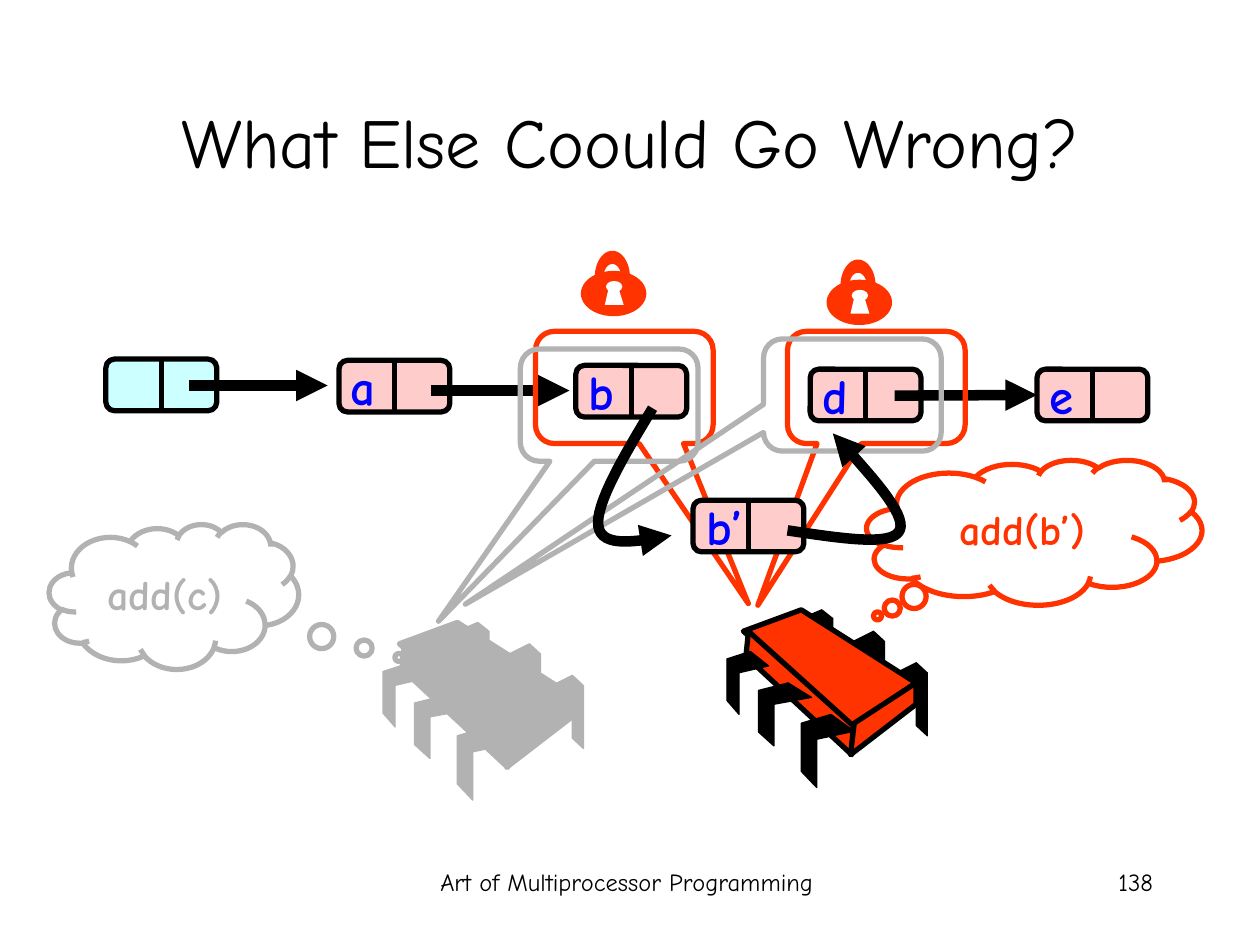
import math
import pptx
import pptx.dml.color
import pptx.enum.shapes
import pptx.enum.text
import pptx.oxml
import pptx.util

BLACK, WHITE, RED, GRAY, BLUE = "000000", "FFFFFF", "FF3300", "B2B2B2", "0000FF"
CYAN, PINK = "CCFFFF", "FFCCCC"
kinds = pptx.enum.shapes.MSO_SHAPE
straight = pptx.enum.shapes.MSO_CONNECTOR.STRAIGHT
align = pptx.enum.text.PP_ALIGN
anchor = pptx.enum.text.MSO_ANCHOR
rgb = pptx.dml.color.RGBColor.from_string

deck = pptx.Presentation()
deck.slide_width, deck.slide_height = pptx.util.Inches(10), pptx.util.Inches(7.5)
slide = deck.slides.add_slide(deck.slide_layouts[6])
shapes = slide.shapes
cell = deck.slide_width // 100


def dress(shape, fill=None, line=None, weight=3):
    if hasattr(shape, "fill"):
        shape.shadow.inherit = False
        if fill:
            shape.fill.solid()
            shape.fill.fore_color.rgb = rgb(fill)
        else:
            shape.fill.background()
    else:
        shape._element.spPr.append(pptx.oxml.parse_xml(
            '<a:effectLst xmlns:a="http://schemas.openxmlformats.org/drawingml/2006/main"/>'))
    if line:
        shape.line.color.rgb = rgb(line)
        shape.line.width = pptx.util.Pt(weight)
    else:
        shape.line.fill.background()
    return shape


def outline(points, close=True):
    spots = [(round(x * cell), round(y * cell)) for x, y in points]
    builder = shapes.build_freeform(*spots[0])
    builder.add_line_segments(spots[1:], close=close)
    return builder.convert_to_shape()


writings = []
headings = [
    ("Art of Multiprocessor Programming", (31, 68.3, 37.5, 5), 14, align.CENTER, anchor.TOP),
    ("138", (71.7, 68.3, 20.8, 5), 14, align.RIGHT, anchor.TOP),
    ("What Else Coould Go Wrong?", (7.5, 4.9, 85, 12.5), 40, align.CENTER, anchor.MIDDLE),
]
for words, box, size, side, level in headings:
    heading = shapes.add_textbox(*(int(v * cell) for v in box))
    writings.append((heading, words, size, BLACK, False, side, level, True))

nodes = {}
for label, x, y, fill, label_width in [
    ("", 8.4, 28.5, CYAN, 0),
    ("a", 26.9, 28.6, PINK, 4.2),
    ("b", 45.7, 29, PINK, 4.3),
    ("d", 64.3, 29.3, PINK, 4.3),
    ("e", 82.3, 29.3, PINK, 4.2),
    ("b’", 55, 39.7, PINK, 5.2),
]:
    box = [int(v * cell) for v in (x, y, 8.8, 4.1)]
    body = dress(shapes.add_shape(kinds.ROUNDED_RECTANGLE, *box), fill, BLACK)
    divider = shapes.add_connector(straight, *box)
    divider.begin_connect(body, 0)
    divider.end_connect(body, 2)
    nodes[label] = [body, dress(divider, line=BLACK)]
    if label:
        box = [int(v * cell) for v in (x - 0.3, y - 0.8, label_width, 5.7)]
        tag = shapes.add_textbox(*box)
        writings.append((tag, label, 28, BLUE, True, align.RIGHT, anchor.TOP, False))
        nodes[label].append(tag)

arrows = []
for x, y in [(15, 30.6), (34.2, 31), (71, 31.4)]:
    ends = [int(v * cell) for v in (x, y, x + 11, y)]
    arrows.append(dress(shapes.add_connector(straight, *ends), line=BLACK, weight=6))
arrows[-1].end_connect(nodes["e"][0], 1)

back_leg = [(0, .14), (.65, 0), (1, .14), (1, 1), (.65, .86), (.65, .28), (0, .43)]
front_leg = [(.56, 0), (1, .23), (.29, .34), (.29, 1), (0, .78), (0, .12)]
panels = [
    [(5.9, 0), (15, 5.8), (9.9, 9.3), (1.3, 1.7)],
    [(1.7, 1.7), (10, 9.2), (9.9, 11.5), (1.5, 3.7)],
    [(15, 5.8), (15, 7.5), (9.8, 11.5), (10.1, 9)],
]
back_legs = [(13.4, 4.2, 2.5, 5.8), (10, 1.7, 2.5, 5.8), (5.9, 0, 2.5, 5)]
front_legs = [(5.9, 8.3, 4.2, 5.8), (2.5, 5.8, 4.2, 5), (0, 3.3, 3.3, 5)]
back_parts, front_parts = [
    [[(x + u * w, y + v * h) for u, v in leg] for x, y, w, h in legs]
    for leg, legs in [(back_leg, back_legs), (front_leg, front_legs)]
]
for words, left, top, body_fill, leg_fill, edge, cloud_box, tail in [
    ("add(c)", 30.4, 49.4, GRAY, GRAY, GRAY, (3.9, 41.6, 19.8, 11.5), (.902, .42)),
    ("add(b’)", 57.7, 48.4, RED, BLACK, BLACK, (68.8, 36.5, 26.6, 11.5), (-.468, .577)),
]:
    chip = []
    for parts, fill, weight in [(back_parts, leg_fill, .75), (panels, body_fill, 3),
                                (front_parts, leg_fill, .75)]:
        for part in parts:
            piece = outline([(left + x, top + y) for x, y in part])
            chip.append(dress(piece, fill, edge, weight))
    shapes.add_group_shape(chip)
    cloud = shapes.add_shape(kinds.CLOUD_CALLOUT, *(int(v * cell) for v in cloud_box))
    dress(cloud, line=body_fill)
    cloud.adjustments[0], cloud.adjustments[1] = tail
    writings.append((cloud, words, 24, body_fill, True, align.CENTER, anchor.MIDDLE, True))

angles = [math.pi * step / 24 for step in range(25)]
for left, top in [(65.6, 20.6), (46.1, 19.9)]:
    lock = []
    for x, y, w, h, fill in [(0, 1.6, 5.2, 3.6, RED), (2, 2.4, 1.3, .9, WHITE)]:
        box = [int(v * cell) for v in (left + x, top + y, w, h)]
        lock.append(dress(shapes.add_shape(kinds.OVAL, *box), fill))
    keyhole = [(1.9, 4.3), (2.2, 3), (3, 3), (3.4, 4.3)]
    inner, outer = [
        [(2.5 - rx * math.cos(t), 2.1 - ry * math.sin(t)) for t in angles]
        for rx, ry in [(.7, 1.05), (1.4, 2.1)]
    ]
    for points, fill in [(keyhole, WHITE), (inner + outer[::-1], RED)]:
        lock.append(dress(outline([(left + x, top + y) for x, y in points]), fill))
    shapes.add_group_shape(lock)

for x, y, color, pointer in [
    (42.5, 26.3, RED, (.698, 1.927, .167)),
    (62.5, 26.3, RED, (-.667, 1.942, .167)),
    (41.3, 27.7, GRAY, (-.961, 1.927, .167)),
    (60.6, 26.9, GRAY, (-2.179, 1.865, .167)),
]:
    box = [int(v * cell) for v in (x, y, 14.1, 8.9)]
    callout = dress(shapes.add_shape(kinds.ROUNDED_RECTANGULAR_CALLOUT, *box), line=color)
    for index, value in enumerate(pointer):
        callout.adjustments[index] = value

shapes.add_group_shape(nodes["b’"])

for bends in [
    [(51.8, 32.4), (49.5, 36.2), (47.2, 40.1), (47.5, 41.8), (47.8, 43.5), (50.5, 43), (53.3, 42.5)],
    [(62.5, 42.1), (66.6, 42.7), (70.8, 43.4), (71.4, 42.1), (72, 40.8), (69, 37.6), (66.1, 34.4)],
]:
    track = bends[:1]
    for first in (0, 3):
        for t in [step / 16 for step in range(1, 17)]:
            weights = [math.comb(3, k) * t ** k * (1 - t) ** (3 - k) for k in range(4)]
            track.append(tuple(
                sum(w * p[axis] for w, p in zip(weights, bends[first:first + 4]))
                for axis in (0, 1)))
    arrows.append(dress(outline(track, close=False), line=BLACK, weight=6))

for arrow in arrows:
    arrow.line._get_or_add_ln().append(pptx.oxml.parse_xml(
        '<a:tailEnd xmlns:a="http://schemas.openxmlformats.org/drawingml/2006/main" type="triangle"/>'))

for holder, words, size, color, bold, side, level, wrap in writings:
    frame = holder.text_frame
    frame.word_wrap, frame.vertical_anchor = wrap, level
    paragraph = frame.paragraphs[0]
    paragraph.alignment = side
    run = paragraph.add_run()
    run.text = words
    look = {"name": "Comic Neue", "size": pptx.util.Pt(size), "bold": bold}
    for attribute, value in look.items():
        setattr(run.font, attribute, value)
    run.font.color.rgb = rgb(color)

deck.save("out.pptx")
